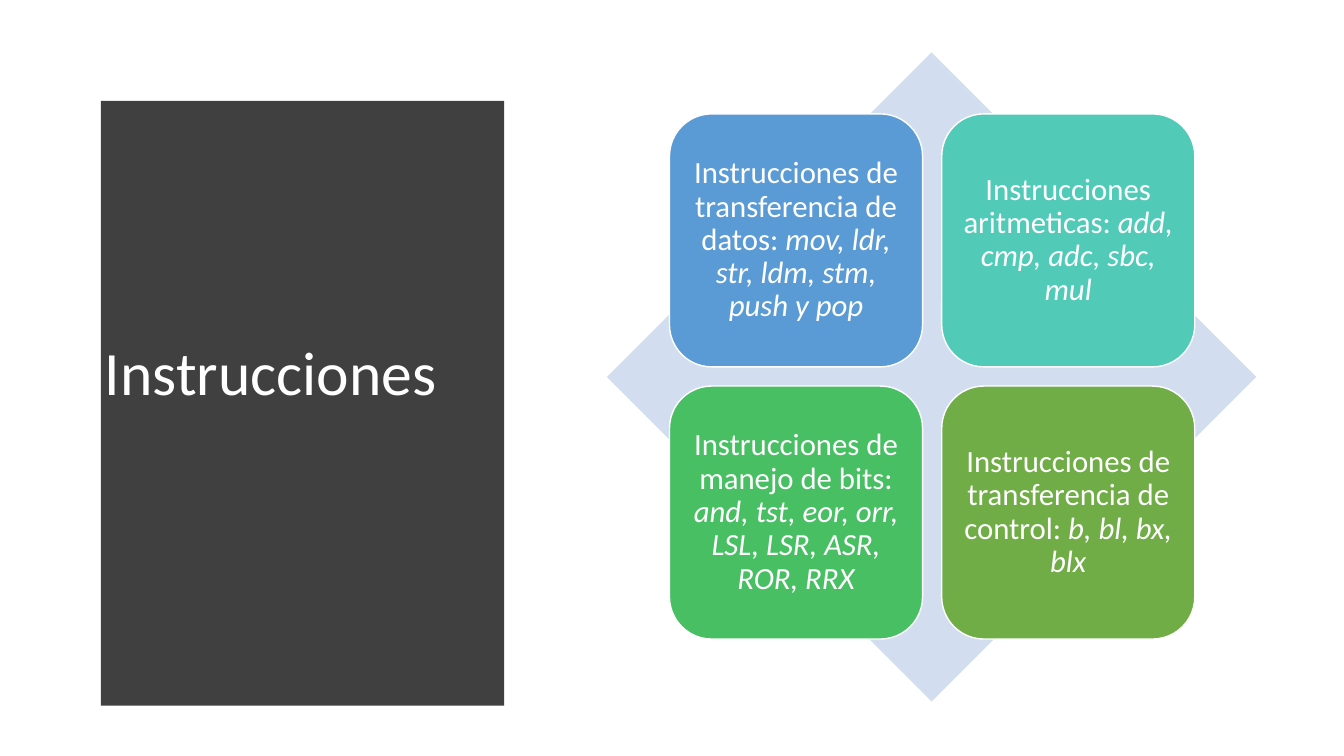
"""Build the slide that sorts the instructions into four groups."""
from pptx import Presentation
from pptx.dml.color import RGBColor
from pptx.enum.shapes import MSO_SHAPE
from pptx.enum.text import MSO_ANCHOR, MSO_AUTO_SIZE, PP_ALIGN
from pptx.util import Inches, Pt

DIAMOND = MSO_SHAPE.DIAMOND
ROUND = MSO_SHAPE.ROUNDED_RECTANGLE
MIDDLE = MSO_ANCHOR.MIDDLE
FIXED = MSO_AUTO_SIZE.NONE
LEFT, CENTER = PP_ALIGN.LEFT, PP_ALIGN.CENTER

FONT = "Calibri"
WHITE = RGBColor(0xFF, 0xFF, 0xFF)
DARK = RGBColor(0x40, 0x40, 0x40)
PALE = RGBColor(0xD2, 0xDE, 0xEF)
BLUE = RGBColor(0x5B, 0x9B, 0xD5)
TEAL = RGBColor(0x52, 0xCA, 0xB8)
GREEN = RGBColor(0x49, 0xBF, 0x64)
OLIVE = RGBColor(0x70, 0xAD, 0x47)

TOP, SIDE = 0.52, 6.44
CURVE = [
    (5.08, 0.52), (5.14, 0.89), (5.18, 1.19), (5.21, 1.49), (5.24, 1.79),
    (5.27, 2.09), (5.29, 2.38), (5.3, 2.68), (5.31, 2.97), (5.32, 3.25),
    (5.32, 3.94), (5.31, 4.33), (5.3, 4.58), (5.28, 4.95), (5.25, 5.4),
    (5.22, 5.81), (5.18, 6.17), (5.14, 6.48), (5.11, 6.72), (5.08, 6.96),
]
CARDS = [
    (BLUE, "Instrucciones de transferencia de datos: ",
     "mov, ldr, str, ldm, stm, push y pop"),
    (TEAL, "Instrucciones aritmeticas: ", "add, cmp, adc, sbc, mul"),
    (GREEN, "Instrucciones de manejo de bits: ",
     "and, tst, eor, orr, LSL, LSR, ASR, ROR, RRX"),
    (OLIVE, "Instrucciones de transferencia de control: ", "b, bl, bx, blx"),
]
CARD, STEP = 2.51, 2.7
CARD_X, CARD_Y = 6.64, 1.13


def style(run, size):
    """Set the font of a run."""
    run.font.name = FONT
    run.font.size = Pt(size)
    run.font.color.rgb = WHITE


def paint(shape, color):
    """Give a shape a flat fill with no line or shadow."""
    shape.shadow.inherit = False
    shape.fill.solid()
    shape.fill.fore_color.rgb = color
    shape.line.fill.background()


def add_panel(slide):
    """Draw the dark panel with its curved right edge."""
    pen = slide.shapes.build_freeform(0.53, TOP, scale=Inches(1))
    pen.add_line_segments(CURVE + [(0.53, TOP + SIDE)], close=True)
    panel = pen.convert_to_shape()
    paint(panel, DARK)
    return panel


def set_title(slide, panel, text):
    """Place the title on top of the panel."""
    title = slide.shapes.title
    panel._element.addnext(title._element)
    title.left, title.top = Inches(0.94), Inches(1.11)
    title.width, title.height = Inches(3.74), Inches(5.24)
    frame = title.text_frame
    frame.text = text
    frame.word_wrap = True
    frame.auto_size = FIXED
    frame.vertical_anchor = MIDDLE
    para = frame.paragraphs[0]
    para.alignment = LEFT
    para.line_spacing = 0.9
    style(para.runs[0], 44)


def add_shape(slide, kind, x, y, side, color):
    """Add a square preset shape in a flat colour."""
    shape = slide.shapes.add_shape(
        kind, Inches(x), Inches(y), Inches(side), Inches(side))
    paint(shape, color)
    return shape


def add_card(slide, x, y, color, label, codes):
    """Add a rounded card with a label and its codes in italics."""
    card = add_shape(slide, ROUND, x, y, CARD, color)
    card.line.color.rgb = WHITE
    card.line.width = Pt(1)
    frame = card.text_frame
    frame.word_wrap = True
    frame.vertical_anchor = MIDDLE
    frame.margin_left = frame.margin_right = Inches(0.09)
    frame.margin_top = frame.margin_bottom = Inches(0.09)
    para = frame.paragraphs[0]
    para.alignment = CENTER
    para.line_spacing = 0.9
    for text, slant in ((label, False), (codes, True)):
        run = para.add_run()
        run.text = text
        style(run, 22)
        run.font.italic = slant


def main():
    """Build and save the slide."""
    deck = Presentation()
    deck.slide_width, deck.slide_height = Inches(13.33), Inches(7.5)
    slide = deck.slides.add_slide(deck.slide_layouts[5])
    set_title(slide, add_panel(slide), "Instrucciones")
    add_shape(slide, DIAMOND, 6.02, TOP, SIDE, PALE)
    for index, card in enumerate(CARDS):
        row, col = divmod(index, 2)
        add_card(slide, CARD_X + col * STEP, CARD_Y + row * STEP, *card)
    deck.save("out.pptx")


if __name__ == "__main__":
    main()
